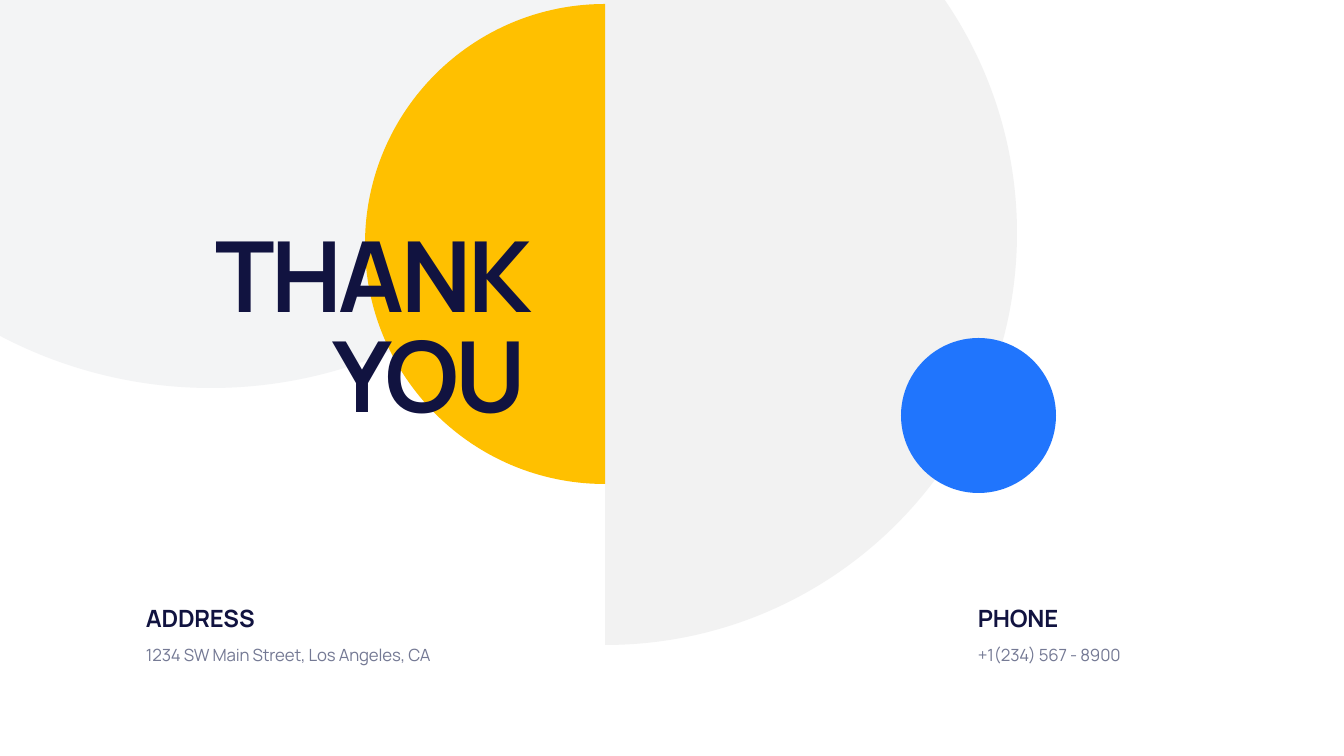
from itertools import pairwise
from math import acos, asin, cos, degrees, radians, sin, tan

from lxml.etree import SubElement
from pptx import Presentation
from pptx.dml.color import RGBColor
from pptx.enum.shapes import MSO_SHAPE
from pptx.enum.text import MSO_ANCHOR, MSO_AUTO_SIZE, PP_ALIGN
from pptx.oxml.ns import qn
from pptx.oxml.xmlchemy import OxmlElement
from pptx.util import Pt

PIXEL = 914400 / 50.4
WIDTH, HEIGHT = 1344, 756

THEME = {
    "font": "Manrope",
    "mist": "C3C8CE", "grey": "F2F2F2", "yellow": "FFC000", "blue": "2075FD",
    "title": {"size": 140, "color": "111340", "bold": True, "spacing": -5, "line": 142,
              "anchor": MSO_ANCHOR.MIDDLE, "align": PP_ALIGN.RIGHT},
    "heading": {"size": 34, "color": "111340", "bold": True, "spacing": -0.3, "line": None,
                "anchor": MSO_ANCHOR.BOTTOM, "align": PP_ALIGN.LEFT},
    "detail": {"size": 24, "color": "747994", "bold": False, "spacing": -0.2, "line": 36,
               "anchor": MSO_ANCHOR.TOP, "align": PP_ALIGN.LEFT},
}

TITLE = ("THANK YOU", (141, 227, 390, 211))
CONTACTS = [
    ("ADDRESS", "1234 SW Main Street, Los Angeles, CA", 141, 390),
    ("PHONE", "+1(234) 567 - 8900", 973, 287),
]
CONTACT_ROWS = [("heading", 601, 34), ("detail", 637, 29)]

# Cut discs: center x, center y, radius, arc stops, corners, colour, opacity.
# Stops are degrees clockwise from the right; arcs end where they meet the slide edge.
DISCS = [
    (211, -65, 453, [degrees(asin(65 / 453)), 90, degrees(acos(-211 / 453))], [(0, 0)], "mist", 20),
    (605, 233, 412, [degrees(asin(-233 / 412)), 0, 90], [(605, 0)], "grey", 100),
    (605, 244, 240, [90, 180, 270], [], "yellow", 100),
]
BLUE_CIRCLE = (901, 338, 155, 155)


def emu(*lengths):
    """Turn pixel lengths into whole EMU."""
    return [round(length * PIXEL) for length in lengths]


def paint(shape, color, opacity=100):
    """Give a shape a flat fill with no line or shadow."""
    shape.shadow.inherit = False
    shape.line.fill.background()
    shape.fill.solid()
    shape.fill.fore_color.rgb = RGBColor.from_string(THEME[color])
    if opacity < 100:
        color_element = shape.element.spPr.find(qn("a:solidFill"))[0]
        SubElement(color_element, qn("a:alpha")).set("val", str(opacity * 1000))


def arc_points(center_x, center_y, radius, stops):
    """Return the arc's start, then two handles and an end for each curve."""
    def at(angle, slide_along=0):
        """Return the point at an angle, moved along the tangent."""
        return (center_x + radius * (cos(angle) - slide_along * sin(angle)),
                center_y + radius * (sin(angle) + slide_along * cos(angle)))

    points = [at(radians(stops[0]))]
    for start, end in pairwise(map(radians, stops)):
        handle = 4 / 3 * tan((end - start) / 4)
        points += [at(start, handle), at(end, -handle), at(end)]
    return points


def bend(shape, curve_count):
    """Turn each leading group of three line segments into one curve."""
    lines = list(shape.element.iter(qn("a:lnTo")))
    for first in range(0, curve_count * 3, 3):
        curve = OxmlElement("a:cubicBezTo")
        lines[first].addprevious(curve)
        for line in lines[first:first + 3]:
            curve.append(line[0])
            line.getparent().remove(line)


def add_disc(slide, center_x, center_y, radius, stops, corners, color, opacity):
    """Draw a disc cut by straight edges."""
    outline = arc_points(center_x, center_y, radius, stops) + corners
    points = [emu(*point) for point in outline]
    builder = slide.shapes.build_freeform(*points[0], scale=1.0)
    builder.add_line_segments(points[1:], close=True)
    disc = builder.convert_to_shape()
    bend(disc, len(stops) - 1)
    paint(disc, color, opacity)


def write(shape, text, box, style_name):
    """Place a text shape and format its single paragraph."""
    style = THEME[style_name]
    shape.left, shape.top, shape.width, shape.height = emu(*box)
    frame = shape.text_frame
    frame_format = {"word_wrap": True, "vertical_anchor": style["anchor"],
                    "auto_size": MSO_AUTO_SIZE.SHAPE_TO_FIT_TEXT}
    for name, value in frame_format.items():
        setattr(frame, name, value)
    paragraph = frame.paragraphs[0]
    paragraph.alignment = style["align"]
    if style["line"]:
        paragraph.line_spacing = Pt(style["line"])
    run = paragraph.add_run()
    run.text = text
    font_format = {"name": THEME["font"], "size": Pt(style["size"]), "bold": style["bold"]}
    for name, value in font_format.items():
        setattr(run.font, name, value)
    run.font.color.rgb = RGBColor.from_string(style["color"])
    run._r.get_or_add_rPr().set("spc", str(round(style["spacing"] * 100)))


def build():
    """Build and save the closing slide."""
    presentation = Presentation()
    presentation.slide_width, presentation.slide_height = emu(WIDTH, HEIGHT)
    slide = presentation.slides.add_slide(presentation.slide_layouts[5])
    for disc in DISCS:
        add_disc(slide, *disc)
    paint(slide.shapes.add_shape(MSO_SHAPE.OVAL, *emu(*BLUE_CIRCLE)), "blue")

    title = slide.shapes.title
    slide.shapes.element.append(title.element)  # bring the title in front of the discs
    write(title, *TITLE, "title")
    for heading, detail, left, width in CONTACTS:
        for text, (style_name, top, height) in zip((heading, detail), CONTACT_ROWS):
            box = (left, top, width, height)
            write(slide.shapes.add_textbox(*emu(*box)), text, box, style_name)
    presentation.save("out.pptx")


build()
